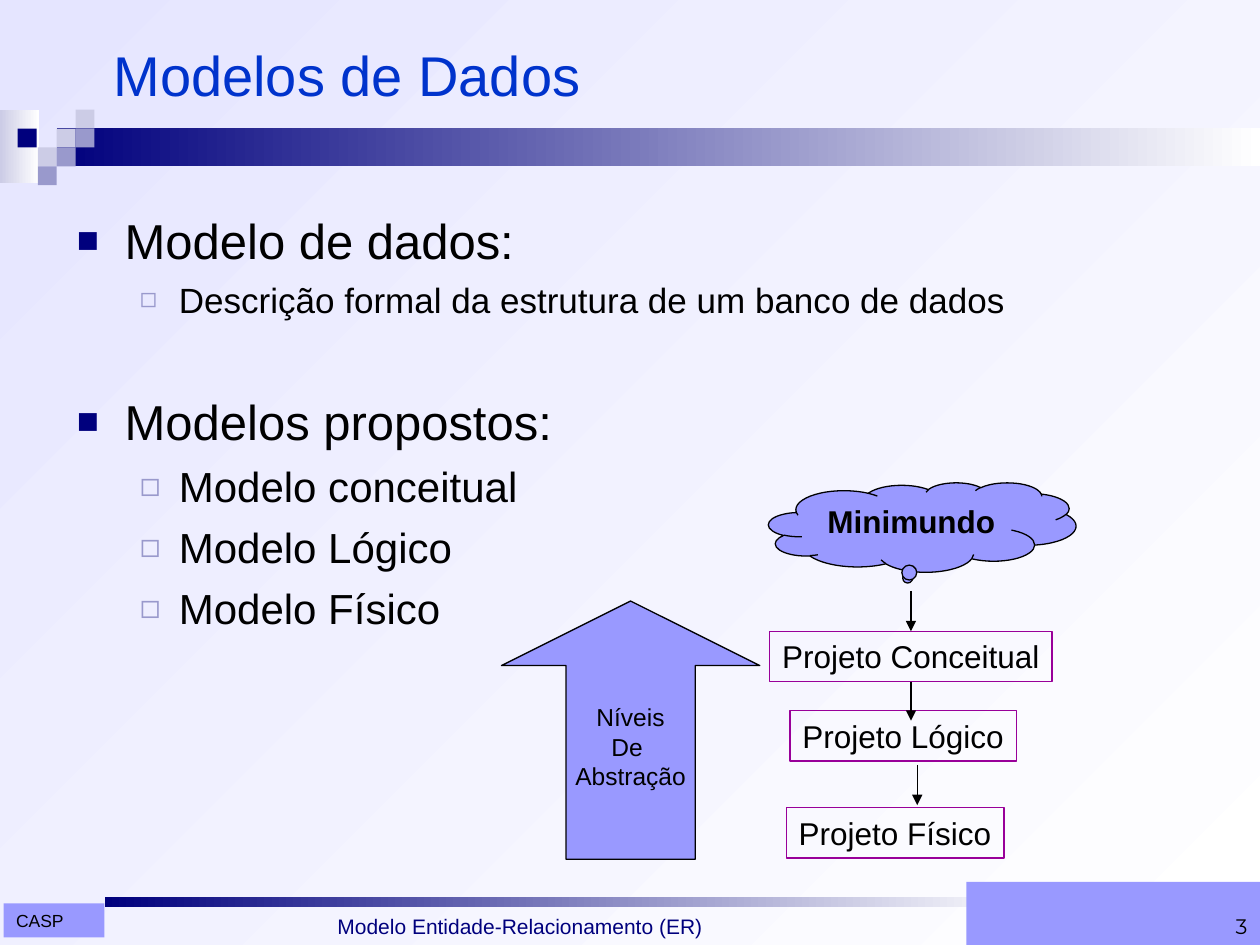
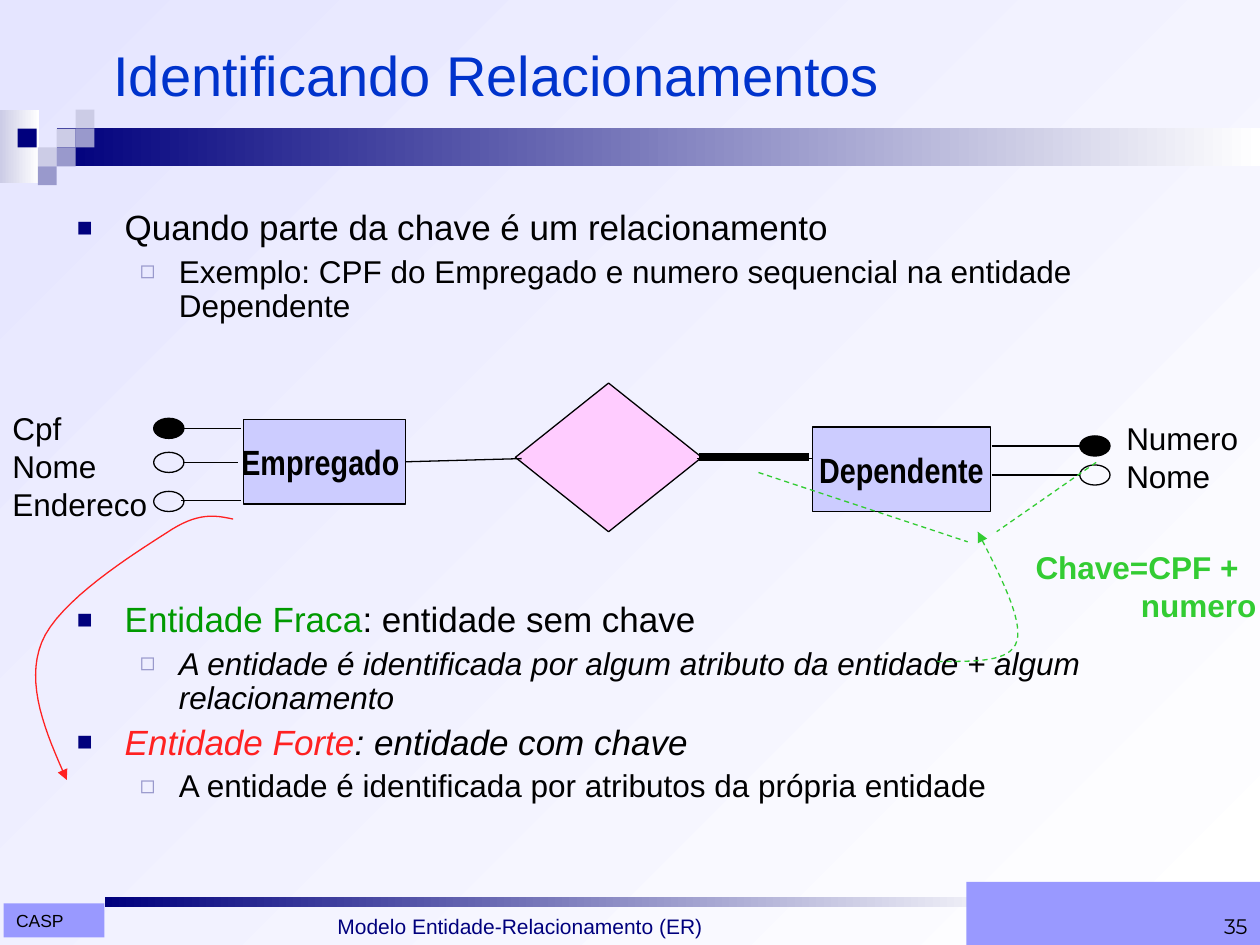
"""Build two slides on data models and identifying relationships."""
from dataclasses import dataclass
from typing import Any, Optional

from lxml.etree import SubElement
from pptx import Presentation
from pptx.dml.color import RGBColor
from pptx.enum.dml import MSO_LINE
from pptx.enum.shapes import MSO_CONNECTOR, MSO_SHAPE
from pptx.enum.text import MSO_ANCHOR, MSO_AUTO_SIZE, PP_ALIGN
from pptx.oxml.ns import qn
from pptx.util import Inches, Pt

COLORS = {
    "ink": "000000", "white": "FFFFFF", "navy": "00007D", "title": "0033CC",
    "pale": "CCCCE6", "haze": "E5E5FF", "slate": "9999CC", "violet": "9999FF",
    "lilac": "CCCCFF", "pink": "FFCCFF", "purple": "990099",
    "green": "33CC33", "leaf": "009900", "red": "FF2121",
}
LEFT, CENTER, RIGHT = PP_ALIGN.LEFT, PP_ALIGN.CENTER, PP_ALIGN.RIGHT
TOP, MIDDLE, BOTTOM = MSO_ANCHOR.TOP, MSO_ANCHOR.MIDDLE, MSO_ANCHOR.BOTTOM
BULLETS = (("■", "navy", 75, 0.38, -0.38), ("◻", "slate", 80, 0.81, -0.31))


@dataclass(frozen=True)
class Box:
    """A preset shape, in inches, with optional lines of text."""
    at: tuple[float, float, float, float]
    kind: MSO_SHAPE = MSO_SHAPE.RECTANGLE
    fill: Optional[str] = None
    fade: Optional[str] = None
    line: Optional[str] = None
    adjust: tuple[float, ...] = ()
    lines: tuple[str, ...] = ()
    size: float = 18
    font: str = "Arial"
    color: str = "ink"
    bold: bool = False
    aligns: tuple[PP_ALIGN, ...] = (LEFT,)
    anchor: MSO_ANCHOR = TOP
    wrap: bool = True
    grow: bool = False


@dataclass(frozen=True)
class Line:
    """A straight line between two points, in inches."""
    start: tuple[float, float]
    end: tuple[float, float]
    color: str = "ink"
    width: float = 0.75
    dashed: bool = False
    arrow: bool = False


@dataclass(frozen=True)
class Item:
    """A bulleted paragraph made of coloured spans."""
    level: int
    spans: tuple[tuple[str, str], ...]
    size: float
    before: float = 0
    spacing: float = 1.0
    italic: bool = False


def rgb(name: str) -> RGBColor:
    """Return a named colour."""
    return RGBColor.from_string(COLORS[name])


def assign(target: Any, values: dict[str, Any]) -> None:
    """Set each named attribute on the target."""
    for name, value in values.items():
        setattr(target, name, value)


def paint_gradient(fill: Any, first: str, last: str, angle: float) -> None:
    """Apply a two-colour linear gradient."""
    fill.gradient()
    fill.gradient_angle = angle
    for stop, name in zip(fill.gradient_stops, (first, last)):
        stop.color.rgb = rgb(name)


def add_span(para: Any, text: str, color: str, **font: Any) -> None:
    """Add a formatted run to a paragraph."""
    span = para.add_run()
    span.text = text
    assign(span.font, font)
    span.font.color.rgb = rgb(color)


def style_line(shape: Any, color: str, width: float = 0.75,
               dashed: bool = False, arrow: bool = False) -> None:
    """Format an outline and its optional arrowhead."""
    line = shape.line
    line.color.rgb = rgb(color)
    line.width = Pt(width)
    if dashed:
        line.dash_style = MSO_LINE.DASH
    if arrow:
        SubElement(line._get_or_add_ln(), qn("a:tailEnd"), type="triangle")


def add_box(page: Any, box: Box) -> Any:
    """Draw a box and return its shape."""
    place = [Inches(value) for value in box.at]
    shape = page.shapes.add_shape(box.kind, *place)
    shape.shadow.inherit = False
    for index, value in enumerate(box.adjust):
        shape.adjustments[index] = value
    if box.fade:
        paint_gradient(shape.fill, box.fill, box.fade, 0)
    elif box.fill:
        shape.fill.solid()
        shape.fill.fore_color.rgb = rgb(box.fill)
    else:
        shape.fill.background()
    if box.line:
        style_line(shape, box.line)
    else:
        shape.line.fill.background()
    frame = shape.text_frame
    assign(frame, {
        "word_wrap": box.wrap, "vertical_anchor": box.anchor,
        "auto_size": MSO_AUTO_SIZE.SHAPE_TO_FIT_TEXT if box.grow else MSO_AUTO_SIZE.NONE,
    })
    for index, text in enumerate(box.lines):
        para = frame.add_paragraph() if index else frame.paragraphs[0]
        para.alignment = box.aligns[index % len(box.aligns)]
        add_span(para, text, box.color, size=Pt(box.size), name=box.font, bold=box.bold)
    return shape


def add_line(page: Any, line: Line) -> Any:
    """Draw a straight connector without a shadow."""
    ends = [Inches(value) for value in line.start + line.end]
    connector = page.shapes.add_connector(MSO_CONNECTOR.STRAIGHT, *ends)
    style_line(connector, line.color, line.width, line.dashed, line.arrow)
    SubElement(connector._element.spPr, qn("a:effectLst"))
    return connector


def add_curve(page: Any, points: list[tuple[float, float]], color: str,
              dashed: bool = False, steps: int = 16) -> None:
    """Draw an arrow along chained cubic curves."""
    trail = []
    for first in range(0, len(points) - 1, 3):
        knots = points[first:first + 4]
        for step in range(1, steps + 1):
            t = step / steps
            weights = ((1 - t) ** 3, 3 * t * (1 - t) ** 2, 3 * t * t * (1 - t), t ** 3)
            trail.append(tuple(
                Inches(sum(weight * knot[axis] for weight, knot in zip(weights, knots)))
                for axis in (0, 1)))
    builder = page.shapes.build_freeform(*(Inches(value) for value in points[0]))
    builder.add_line_segments(trail, close=False)
    shape = builder.convert_to_shape()
    shape.shadow.inherit = False
    shape.fill.background()
    style_line(shape, color, dashed=dashed, arrow=True)


def add_bullet(para: Any, level: int) -> None:
    """Give a paragraph the bullet and indent of its level."""
    char, color, percent, margin, indent = BULLETS[level]
    para.level = level
    props = para._p.get_or_add_pPr()
    props.set("marL", str(Inches(margin)))
    props.set("indent", str(Inches(indent)))
    SubElement(SubElement(props, qn("a:buClr")), qn("a:srgbClr"), val=COLORS[color])
    SubElement(props, qn("a:buSzPct"), val=str(percent * 1000))
    SubElement(props, qn("a:buFont"), typeface="Arial")
    SubElement(props, qn("a:buChar"), char=char)


def place_frame(holder: Any, at: tuple[float, ...], anchor: MSO_ANCHOR) -> Any:
    """Move a placeholder and return its text frame."""
    assign(holder, dict(zip(("left", "top", "width", "height"), map(Inches, at))))
    assign(holder.text_frame, {"word_wrap": True, "vertical_anchor": anchor,
                               "auto_size": MSO_AUTO_SIZE.NONE})
    return holder.text_frame


def add_page(deck: Any, title: str, number: str, items: list[Item]) -> Any:
    """Add a slide with the shared look, title and list."""
    page = deck.slides.add_slide(deck.slide_layouts[1])
    paint_gradient(page.background.fill, "haze", "white", 315)

    para = place_frame(page.shapes.title, (0.8, 0.13, 9, 0.91), MIDDLE).paragraphs[0]
    para.alignment = LEFT
    add_span(para, title, "title", size=Pt(32), name="Arial")

    frame = place_frame(page.placeholders[1], (0.51, 1.62, 9, 5.04), TOP)
    for index, item in enumerate(items):
        para = frame.add_paragraph() if index else frame.paragraphs[0]
        add_bullet(para, item.level)
        assign(para, {"alignment": LEFT, "space_before": Pt(item.before),
                      "line_spacing": item.spacing})
        for text, color in item.spans:
            add_span(para, text, color, size=Pt(item.size), name="Arial", italic=item.italic)

    squares = ((0.45, 1.02, "pale"), (0.6, 0.87, "pale"), (0.6, 1.02, "slate"),
               (0.3, 1.17, "pale"), (0.14, 1.02, "navy"), (0.45, 1.17, "slate"),
               (0.3, 1.32, "slate"))
    for box in (
        Box((0, 0.87, 0.31, 0.58), fill="pale", fade="white"),
        Box((0.45, 1.02, 9.55, 0.3), fill="navy", fade="white"),
        *(Box((x, y, 0.15, 0.15), fill=color) for x, y, color in squares),
        Box((0.83, 7.12, 7.38, 0.08), fill="navy", fade="white"),
        Box((0.03, 7.17, 0.8, 0.27), fill="violet", lines=("CASP",), size=10, grow=True),
        Box((2.58, 6.98, 4.62, 0.52), lines=("Modelo Entidade-Relacionamento (ER)",),
            size=12, color="navy", anchor=BOTTOM),
        Box((7.67, 7, 2.33, 0.5), fill="violet", lines=(number,), size=12,
            font="Montserrat", aligns=(RIGHT,), anchor=BOTTOM),
    ):
        add_box(page, box)
    return page


def build_models(deck: Any) -> None:
    """Build the slide on data models."""
    page = add_page(deck, "Modelos de Dados", "3", [
        Item(0, (("Modelo de dados:", "ink"),), 28),
        Item(1, (("Descrição formal da estrutura de um banco de dados", "ink"),), 20, 5),
        Item(0, (("Modelos propostos:", "ink"),), 28, 40.6),
        *(Item(1, ((f"Modelo {name}", "ink"),), 24, 6)
          for name in ("conceitual", "Lógico", "Físico")),
    ])
    stages = {
        name: add_box(page, Box((left, top, width, 0.4), line="purple",
                                lines=(f"Projeto {name}",), wrap=False, grow=True))
        for name, left, top, width in (("Físico", 6.24, 6.41, 1.73),
                                       ("Lógico", 6.27, 5.64, 1.8),
                                       ("Conceitual", 6.11, 5.01, 2.24))
    }
    add_box(page, Box((3.98, 4.77, 2.05, 2.05), MSO_SHAPE.UP_ARROW, "violet", line="ink",
                      adjust=(0.5, 0.25), lines=("Níveis", "De ", "Abstração"), size=14,
                      aligns=(CENTER,), anchor=MIDDLE, wrap=False))
    add_box(page, Box((6.1, 3.83, 2.44, 0.71), MSO_SHAPE.CLOUD_CALLOUT, "violet", line="ink",
                      adjust=(-0.048, 0.576), lines=("Minimundo",), bold=True,
                      aligns=(CENTER,)))
    into_concept, from_concept, _ = [
        add_line(page, Line((x, y), (x, y + 0.32), arrow=True))
        for x, y in ((7.23, 4.69), (7.23, 5.4), (7.28, 6.07))
    ]
    into_concept.end_connect(stages["Conceitual"], 0)
    from_concept.begin_connect(stages["Conceitual"], 2)


def build_relationships(deck: Any) -> None:
    """Build the slide on identifying relationships."""
    page = add_page(deck, "Identificando Relacionamentos", "35", [
        Item(0, (("Quando parte da chave é um relacionamento", "ink"),), 20, 0, 0.9),
        Item(1, (("Exemplo: CPF do Empregado e numero sequencial na entidade Dependente",
                  "ink"),), 18, 4.5, 0.9),
        Item(0, (("Entidade Fraca", "leaf"), (": entidade sem chave", "ink")), 20, 159, 0.9),
        Item(1, (("A entidade é identificada por algum atributo da entidade + algum "
                  "relacionamento", "ink"),), 18, 4.5, 0.9, True),
        Item(0, (("Entidade Forte", "red"), (": entidade com chave", "ink")), 20, 5, 0.9, True),
        Item(1, (("A entidade é identificada por atributos da própria entidade", "ink"),),
             18, 4.5, 0.9),
    ])
    employee, _ = [
        add_box(page, Box(at, fill="lilac", line="ink", lines=(name,), size=20,
                          font="Arial Narrow", bold=True, aligns=(CENTER,),
                          anchor=MIDDLE, wrap=False))
        for name, at in (("Empregado ", (1.93, 3.33, 1.29, 0.67)),
                         ("Dependente", (6.45, 3.39, 1.41, 0.67)))
    ]
    add_box(page, Box((4.09, 3.04, 1.48, 1.18), MSO_SHAPE.FLOWCHART_DECISION, "pink",
                      line="ink"))
    add_line(page, Line((3.22, 3.64), (4.14, 3.64))).begin_connect(employee, 3)
    add_line(page, Line((5.53, 3.64), (6.45, 3.64)))
    add_line(page, Line((5.55, 3.63), (6.42, 3.63), width=4.5))

    for left, top, fill, start, end, level in (
        (8.57, 3.46, "ink", 7.87, 8.57, 3.54), (8.57, 3.69, None, 7.87, 8.57, 3.77),
        (1.22, 3.32, "ink", 1.44, 1.91, 3.4), (1.22, 3.59, None, 1.45, 1.89, 3.67),
        (1.22, 3.9, None, 1.44, 1.91, 3.97),
    ):
        add_box(page, Box((left, top, 0.24, 0.16), MSO_SHAPE.OVAL, fill, line="ink"))
        add_line(page, Line((start, level), (end, level)))
    for at, names in (((8.84, 3.28, 1.09, 0.7), ("Numero", "Nome")),
                      ((0, 3.2, 1.27, 1.3), ("Cpf", "Nome", "Endereco"))):
        add_box(page, Box(at, lines=names, wrap=False, grow=True))
    add_box(page, Box((8.12, 4.3, 1.95, 0.7), lines=("Chave=CPF +", "numero"),
                      color="green", bold=True, aligns=(LEFT, RIGHT)))

    add_curve(page, [(1.85, 4.12), (1.71, 4.09), (1.57, 4.06), (1.32, 4.23), (1.07, 4.39),
                     (0.46, 4.77), (0.33, 5.1), (0.2, 5.43), (0.36, 5.81), (0.53, 6.19)], "red")
    add_curve(page, [(7.44, 5.25), (7.73, 5.25), (8.02, 5.26), (8.07, 5.09), (8.12, 4.92),
                     (7.94, 4.57), (7.76, 4.22)], "green", dashed=True)
    for start, end in (((6.02, 3.75), (7.68, 4.3)), ((8.7, 3.67), (7.91, 4.22))):
        add_line(page, Line(start, end, "green", dashed=True))


def main() -> None:
    """Build and save the deck."""
    deck = Presentation()
    assign(deck, {"slide_width": Inches(10), "slide_height": Inches(7.5)})
    build_models(deck)
    build_relationships(deck)
    deck.save("out.pptx")


if __name__ == "__main__":
    main()
